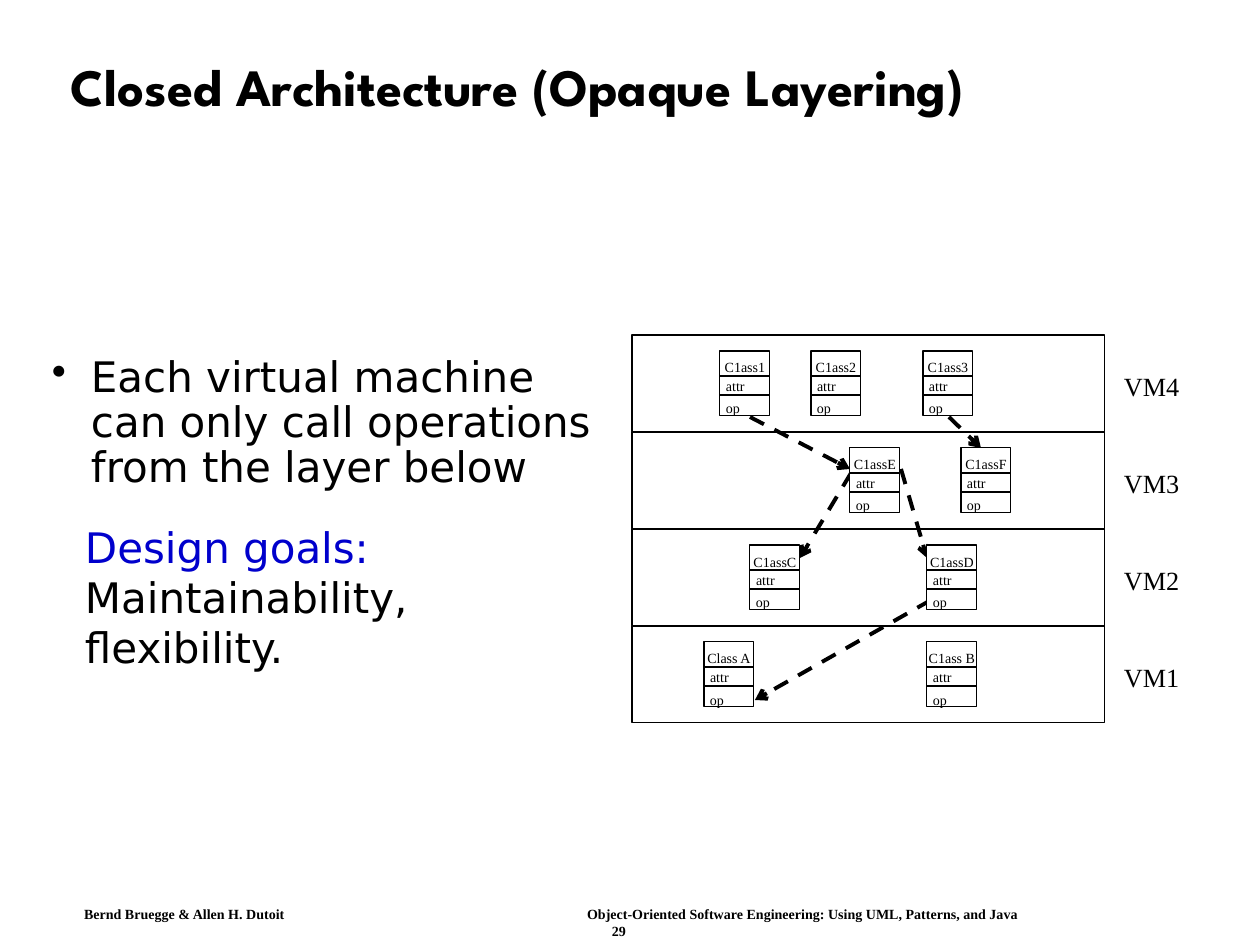
from pptx import Presentation
from pptx.dml.color import RGBColor
from pptx.enum import dml, shapes, text
from pptx import util as u
from pptx.oxml import ns, xmlchemy

BLACK = RGBColor(0x00, 0x00, 0x00)
WHITE = RGBColor(0xFF, 0xFF, 0xFF)
BLUE = RGBColor(0x00, 0x00, 0xCC)
SERIF, SANS, HEADING = "Times New Roman", "DejaVu Sans", "League Spartan"
LEFT, CENTER = text.PP_ALIGN.LEFT, text.PP_ALIGN.CENTER
SCALE = 914400 / 126
THIN, THICK = 0.62, 2.25

BAND_X, BAND_Y, BAND_W, BAND_H = 632, 335, 473, 97
CLASS_W, CLASS_H, CLASS_DY = 50, 65, 16
LAYERS = [
    ("VM4", [("C1ass1", 720), ("C1ass2", 811), ("C1ass3", 923)]),
    ("VM3", [("C1assE", 850), ("C1assF", 961)]),
    ("VM2", [("C1assC", 750), ("C1assD", 927)]),
    ("VM1", [("Class A", 704), ("C1ass B", 927)]),
]
CALLS = [
    (949, 417, 981, 448),
    (750, 417, 850, 469),
    (901, 469, 927, 558),
    (851, 473, 800, 558),
    (931, 600, 755, 700),
]


def px(n):
    return round(n * SCALE)


def apply(obj, **fmt):
    for name, value in fmt.items():
        setattr(obj, name, value)


def add_run(p, content, size, font, color=BLACK, bold=False):
    r = p.add_run()
    r.text = content
    apply(r.font, size=u.Pt(size), name=font, bold=bold)
    r.font.color.rgb = color


def set_frame(tf, pad_x, pad_y, wrap, anchor=text.MSO_ANCHOR.TOP):
    apply(tf, margin_left=px(pad_x), margin_right=px(pad_x), margin_top=px(pad_y),
          margin_bottom=px(pad_y), word_wrap=wrap, vertical_anchor=anchor,
          auto_size=text.MSO_AUTO_SIZE.NONE)


def add_box(s, x, y, w, h, pad_x=13, pad_y=6, wrap=True):
    tf = s.shapes.add_textbox(px(x), px(y), px(w), px(h)).text_frame
    set_frame(tf, pad_x, pad_y, wrap)
    return tf


def add_label(s, content, x, y, w, h, size, align=LEFT):
    p = add_box(s, x, y, w, h, 0, 0, False).paragraphs[0]
    p.alignment = align
    add_run(p, content, size, SERIF)


def add_rect(s, x, y, w, h, fill=None):
    sp = s.shapes.add_shape(shapes.MSO_SHAPE.RECTANGLE, px(x), px(y), px(w), px(h))
    sp.shadow.inherit = False
    if fill is None:
        sp.fill.background()
    else:
        sp.fill.solid()
        sp.fill.fore_color.rgb = fill
    sp.line.color.rgb = BLACK
    sp.line.width = u.Pt(THIN)


def add_line(s, x1, y1, x2, y2, width=THIN):
    c = s.shapes.add_connector(shapes.MSO_CONNECTOR.STRAIGHT, px(x1), px(y1), px(x2), px(y2))
    c.line.color.rgb = BLACK
    c.line.width = u.Pt(width)
    c._element.spPr.append(xmlchemy.OxmlElement("a:effectLst"))
    return c


def add_call(s, *ends):
    c = add_line(s, *ends, width=THICK)
    c.line.dash_style = dml.MSO_LINE.DASH
    tail = xmlchemy.OxmlElement("a:tailEnd")
    tail.set("type", "arrow")
    c._element.spPr.find(ns.qn("a:ln")).append(tail)


def add_class(s, name, x, y):
    add_rect(s, x, y, CLASS_W, CLASS_H, WHITE)
    for dy in (25, 44):
        add_line(s, x, y + dy, x + CLASS_W - 1, y + dy)
    add_label(s, name, x, y + 8, CLASS_W, 16, 8, CENTER)
    add_label(s, "attr", x + 6, y + 27, 19, 16, 8)
    add_label(s, "op", x + 6, y + 49, 14, 16, 8)


def add_title(s, content):
    sp = s.shapes.title
    apply(sp, left=px(58), top=px(30), width=px(1124), height=px(118))
    set_frame(sp.text_frame, 13, 6, True, text.MSO_ANCHOR.MIDDLE)
    p = sp.text_frame.paragraphs[0]
    apply(p, alignment=LEFT, line_spacing=0.9)
    add_run(p, content, 30, HEADING, bold=True)


def add_bullet(s, content):
    p = add_box(s, 39, 350, 588, 339).paragraphs[0]
    apply(p, line_spacing=0.9, space_before=u.Pt(9))
    pPr = p._p.get_or_add_pPr()
    pPr.set("marL", str(px(39)))
    pPr.set("indent", str(-px(39)))
    bullet = xmlchemy.OxmlElement("a:buChar")
    bullet.set("char", "•")
    pPr.append(bullet)
    add_run(p, content, 24, SANS)


def add_goals(s):
    p = add_box(s, 72, 515, 547, 173).paragraphs[0]
    add_run(p, "Design goals:", 24, SANS, BLUE)
    add_run(p, " Maintainability, flexibility.", 24, SANS)


def add_footer(s, authors, book, number):
    tf = add_box(s, 74, 901, 1090, 36, 10, 5)
    p = tf.paragraphs[0]
    tabs = xmlchemy.OxmlElement("a:tabLst")
    tab = xmlchemy.OxmlElement("a:tab")
    tab.set("pos", str(px(503)))
    tab.set("algn", "l")
    tabs.append(tab)
    p._p.get_or_add_pPr().append(tabs)
    add_run(p, f"{authors}\t{book}", 8, SERIF, bold=True)
    p = tf.add_paragraph()
    p.alignment = CENTER
    add_run(p, number, 8, SERIF, bold=True)


def main():
    prs = Presentation()
    apply(prs, slide_width=px(1260), slide_height=px(945))
    s = prs.slides.add_slide(prs.slide_layouts[5])
    add_footer(s, "Bernd Bruegge & Allen H. Dutoit",
               "Object-Oriented Software Engineering: Using UML, Patterns, and Java", "29")
    add_title(s, "Closed Architecture (Opaque Layering)")
    add_bullet(s, "Each virtual machine can only call operations from the layer below")
    for i, (layer, _) in enumerate(LAYERS):
        y = BAND_Y + i * BAND_H
        add_rect(s, BAND_X, y, BAND_W, BAND_H)
        add_label(s, layer, 1124, y + 35, 55, 32, 15)
    for ends in CALLS:
        add_call(s, *ends)
    for i, (_, classes) in enumerate(LAYERS):
        for name, x in classes:
            add_class(s, name, x, BAND_Y + i * BAND_H + CLASS_DY)
    add_goals(s)
    prs.save("out.pptx")


if __name__ == "__main__":
    main()
